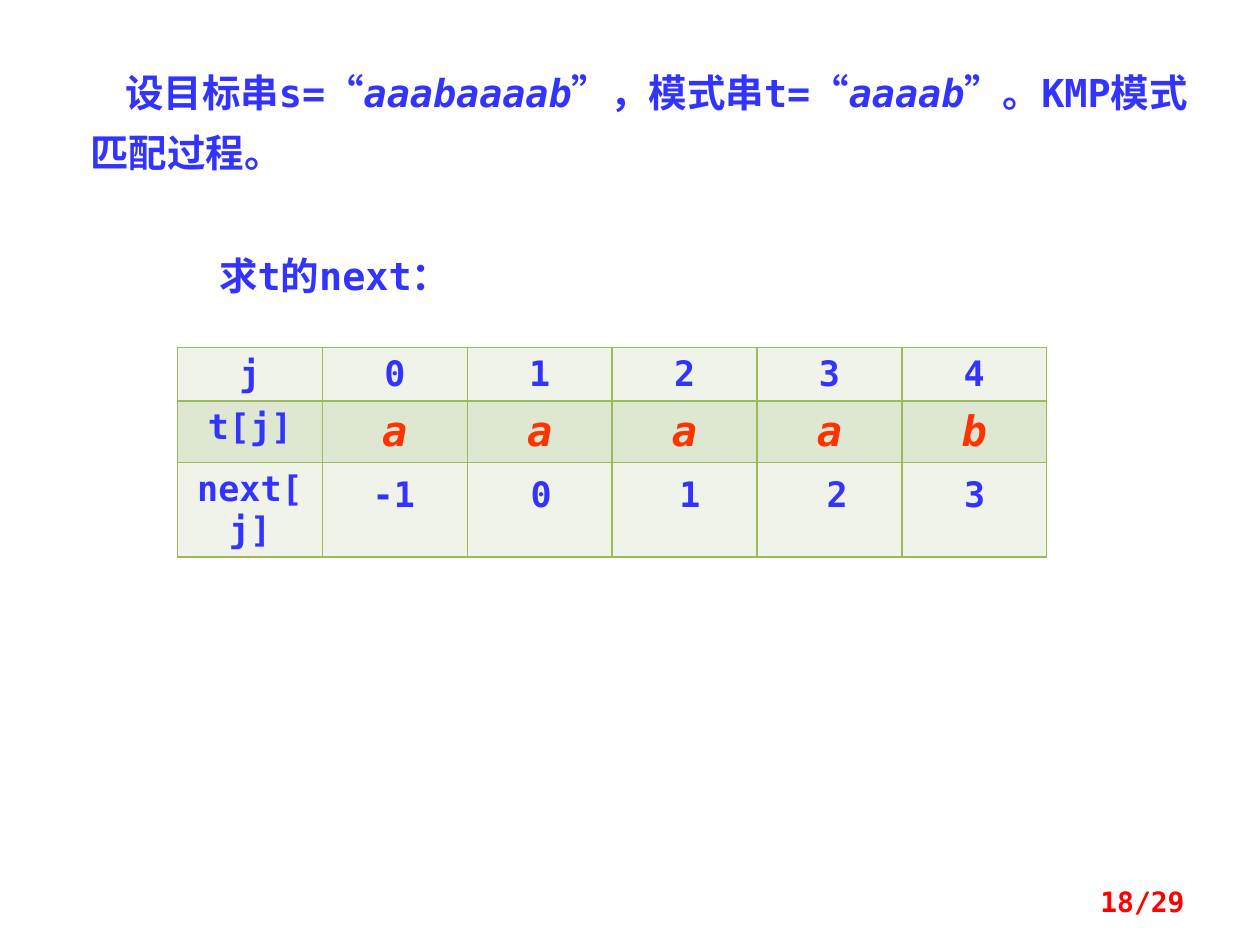
from lxml import etree
from pptx import Presentation
from pptx.dml.color import RGBColor
from pptx.enum.text import MSO_ANCHOR, MSO_AUTO_SIZE, PP_ALIGN
from pptx.oxml.ns import qn
from pptx.util import Cm, Pt

LEFT, CENTER, RIGHT = PP_ALIGN.LEFT, PP_ALIGN.CENTER, PP_ALIGN.RIGHT
TOP, MIDDLE = MSO_ANCHOR.TOP, MSO_ANCHOR.MIDDLE
FIXED_SIZE, GROW = MSO_AUTO_SIZE.NONE, MSO_AUTO_SIZE.SHAPE_TO_FIT_TEXT

BLUE = RGBColor(0x33, 0x33, 0xFF)
ORANGE = RGBColor(0xFF, 0x33, 0x00)
RED = RGBColor(0xFF, 0x00, 0x00)
GREEN = RGBColor(0x9B, 0xBB, 0x59)
LIGHT_BAND = RGBColor(0xEF, 0xF3, 0xEA)
DARK_BAND = RGBColor(0xDE, 0xE7, 0xD1)

TITLE_ONLY = 5


class SlideBuilder:
    """Holds the text style and the slide being built."""

    font_name = "DejaVu Sans Mono"

    def __init__(self, presentation):
        self.slide = presentation.slides.add_slide(
            presentation.slide_layouts[TITLE_ONLY])

    def style(self, run, size, color=BLUE, italic=False):
        font = run.font
        font.name, font.size, font.bold, font.italic = (
            self.font_name, Pt(size), True, italic)
        font.color.rgb = color

    def title(self, parts, left, top, width, height, indent):
        """Fill the title from (text, italic) parts."""
        shape = self.slide.shapes.title
        shape.left, shape.top = Cm(left), Cm(top)
        shape.width, shape.height = Cm(width), Cm(height)
        frame = shape.text_frame
        frame.word_wrap, frame.auto_size = True, FIXED_SIZE
        frame.vertical_anchor = TOP
        paragraph = frame.paragraphs[0]
        paragraph.alignment, paragraph.line_spacing = LEFT, 1.3
        paragraph._p.get_or_add_pPr().set("indent", str(Cm(indent)))
        for text, italic in parts:
            run = paragraph.add_run()
            run.text = text
            self.style(run, 22, italic=italic)

    def text(self, text, left, top, width, height, size, color=BLUE,
             align=LEFT, anchor=TOP, auto_size=GROW, margin=None):
        shape = self.slide.shapes.add_textbox(
            Cm(left), Cm(top), Cm(width), Cm(height))
        frame = shape.text_frame
        frame.text = text
        frame.word_wrap, frame.auto_size = True, auto_size
        frame.vertical_anchor = anchor
        if margin is not None:
            frame.margin_left = frame.margin_right = Cm(margin)
            frame.margin_top = frame.margin_bottom = Cm(margin)
        paragraph = frame.paragraphs[0]
        paragraph.alignment = align
        self.style(paragraph.runs[0], size, color)

    def border(self, cell):
        properties = cell._tc.get_or_add_tcPr()
        for position, side in enumerate(("lnL", "lnR", "lnT", "lnB")):
            line = etree.Element(qn(f"a:{side}"), w=str(Pt(1)))
            fill = etree.SubElement(line, qn("a:solidFill"))
            etree.SubElement(fill, qn("a:srgbClr"), val=str(GREEN))
            properties.insert(position, line)

    def table(self, rows, left, top, column_width, row_height):
        """Draw banded rows; letters after the second row's label stand out."""
        columns = len(rows[0])
        table = self.slide.shapes.add_table(
            len(rows), columns, Cm(left), Cm(top),
            Cm(column_width * columns), Cm(row_height * len(rows))).table
        for row_index, row in enumerate(rows):
            for column_index, text in enumerate(row):
                cell = table.cell(row_index, column_index)
                cell.fill.solid()
                cell.fill.fore_color.rgb = DARK_BAND if row_index % 2 else LIGHT_BAND
                self.border(cell)
                cell.text = text
                paragraph = cell.text_frame.paragraphs[0]
                paragraph.alignment = CENTER
                letter = row_index == 1 and column_index > 0
                for run in paragraph.runs:
                    if letter:
                        self.style(run, 24, ORANGE, italic=True)
                    else:
                        self.style(run, 20)


def main():
    presentation = Presentation()
    presentation.slide_width, presentation.slide_height = Cm(25.4), Cm(19.05)
    builder = SlideBuilder(presentation)

    # Problem statement
    builder.title([("设目标串s=“", False), ("aaabaaaab", True),
                   ("”，模式串t=“", False), ("aaaab", True),
                   ("”。KMP模式匹配过程。", False)],
                  1.57, 0.99, 22.86, 2.59, indent=0.7)

    # Table of the pattern, with the next row left open
    builder.table([["j", "0", "1", "2", "3", "4"],
                   ["t[j]", "a", "a", "a", "a", "b"],
                   ["next[j]", "", "", "", "", ""]],
                  3.58, 7.01, 2.92, 1.04)

    # Values of next, laid over the open row
    lefts = (7.14, 10.11, 13.11, 16.08, 18.85)
    for value, left in zip(("-1", "0", "1", "2", "3"), lefts):
        builder.text(value, left, 9.53, 1.6, 0.86, 20, align=CENTER, margin=0)

    # Step heading and page number
    builder.text("求t的next：", 4.17, 4.95, 5.94, 1.19, 22)
    builder.text("18/29", 18.21, 17.65, 5.92, 1.02, 16, RED,
                 RIGHT, MIDDLE, FIXED_SIZE)

    presentation.save("out.pptx")


if __name__ == "__main__":
    main()
